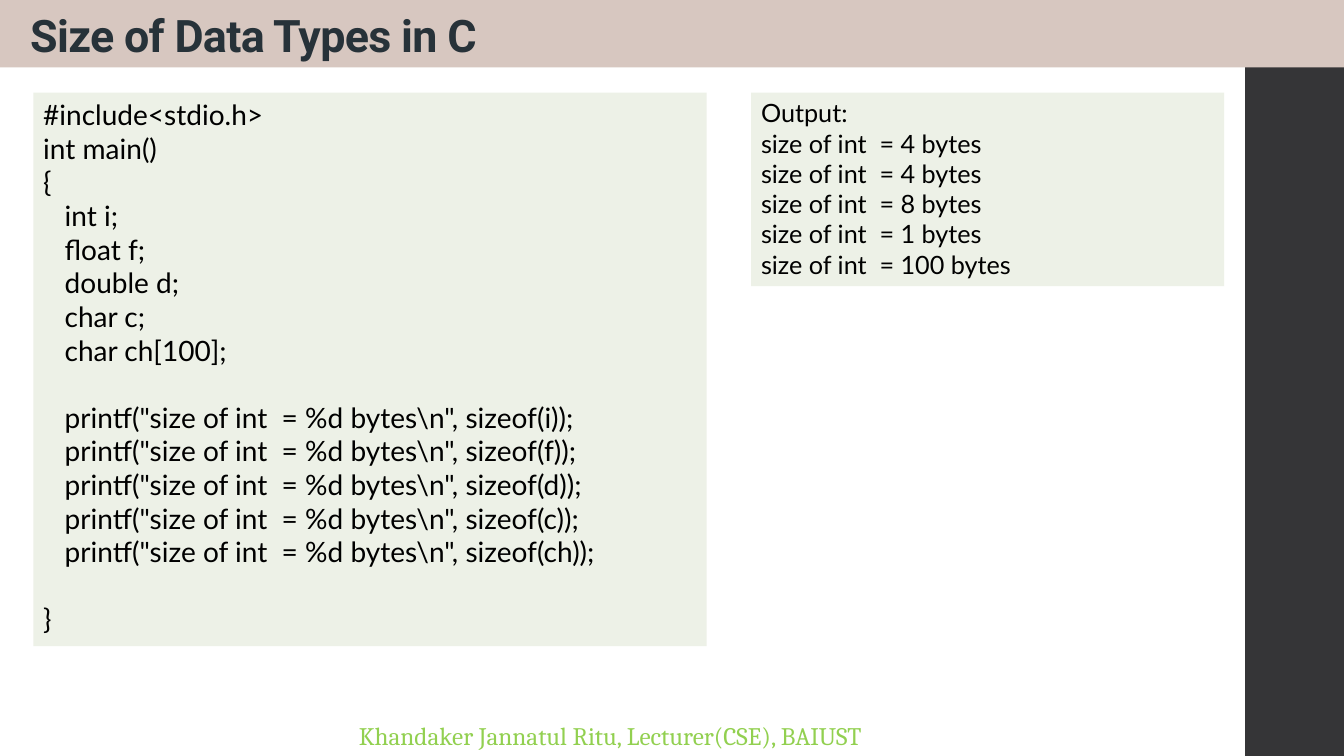
from pptx import Presentation
from pptx.dml.color import RGBColor as RGB
from pptx.enum.shapes import MSO_SHAPE as Kind
from pptx.enum.text import MSO_ANCHOR as Anchor, PP_ALIGN as Align
from pptx.util import Inches, Pt

HEAD = ["#include<stdio.h>", "int main()", "{"]
VARS = ["int i;", "float f;", "double d;", "char c;", "char ch[100];"]
NAMES = ["i", "f", "d", "c", "ch"]
SIZES = [4, 4, 8, 1, 100]
PANEL = "EDF1E7"
LINE = 1.2


def color(code):
    return RGB.from_string(code)


def add_rect(slide, box, fill):
    rect = slide.shapes.add_shape(Kind.RECTANGLE, *map(Inches, box))
    rect.shadow.inherit = False
    rect.fill.solid()
    rect.fill.fore_color.rgb = color(fill)
    rect.line.fill.background()
    return rect


def add_run(para, text, size, face, ink, bold=False):
    run = para.add_run()
    run.text = text
    run.font.size = Pt(size)
    run.font.name = face
    run.font.bold = bold
    run.font.color.rgb = color(ink)
    return run


def add_title(slide, text):
    bar = add_rect(slide, (0, 0, 13.33, 0.67), "D7C7C0")
    frame = bar.text_frame
    frame.word_wrap = True
    frame.margin_left = Inches(0.3)
    frame.vertical_anchor = Anchor.BOTTOM
    para = frame.paragraphs[0]
    para.alignment = Align.LEFT
    para.line_spacing = 0.9
    run = add_run(para, text, 32, "Roboto", "273239", True)
    run.font._element.set("spc", "-50")


def add_panel(slide, box, groups, size):
    frame = add_rect(slide, box, PANEL).text_frame
    frame.word_wrap = True
    frame.vertical_anchor = Anchor.TOP
    para = frame.paragraphs[0]
    for part, lines in enumerate(groups):
        for row, line in enumerate(lines):
            if part or row:
                para = frame.add_paragraph()
            para.alignment = Align.LEFT
            if part and row == 0:
                para.space_before = Pt(size * LINE)
            add_run(para, line, size, "Lato", "000000")


def add_footer(slide, text):
    box = slide.shapes.add_textbox(*map(Inches, (3.46, 7.1, 7.41, 0.4)))
    frame = box.text_frame
    frame.word_wrap = True
    add_run(frame.paragraphs[0], text, 18, "Cambria", "92D050")


def main():
    deck = Presentation()
    deck.slide_width, deck.slide_height = Inches(13.33), Inches(7.5)
    slide = deck.slides.add_slide(deck.slide_layouts[6])

    add_rect(slide, (12.35, 0, 0.98, 7.5), "353537")
    add_footer(slide, "Khandaker Jannatul Ritu, Lecturer(CSE), BAIUST")
    add_title(slide, "Size of Data Types in C")

    decls = HEAD + [f"   {var}" for var in VARS]
    prints = [f'   printf("size of int  = %d bytes\\n", sizeof({name}));'
              for name in NAMES]
    add_panel(slide, (0.33, 0.92, 6.68, 5.49), [decls, prints, ["}"]], 20)

    output = ["Output:"] + [f"size of int  = {size} bytes" for size in SIZES]
    add_panel(slide, (7.45, 0.92, 4.69, 1.92), [output], 18)

    deck.save("out.pptx")


if __name__ == "__main__":
    main()
